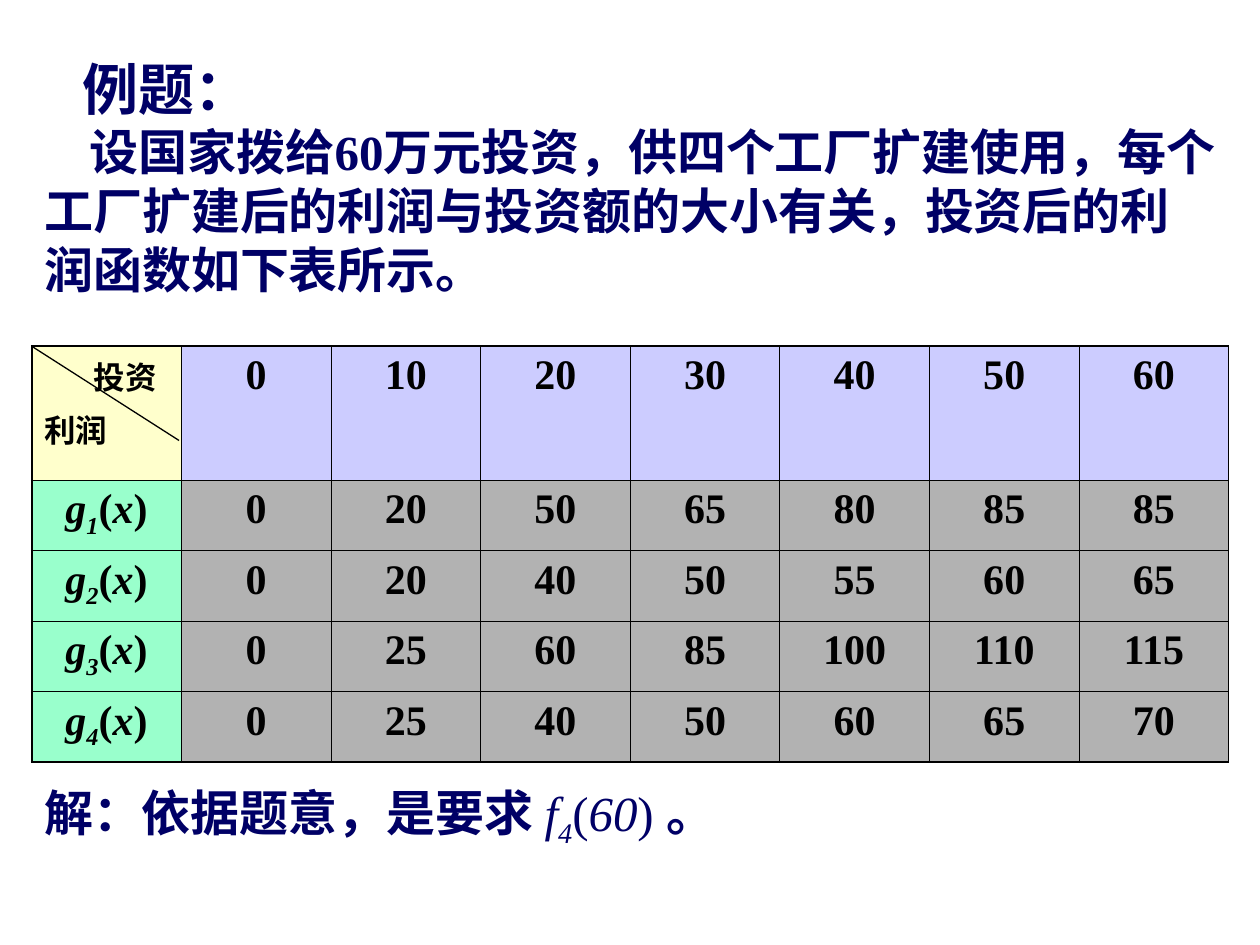
from dataclasses import dataclass

from lxml import etree
from pptx import Presentation
from pptx.dml.color import RGBColor
from pptx.enum.shapes import MSO_CONNECTOR
from pptx.enum.text import MSO_ANCHOR, MSO_AUTO_SIZE, PP_ALIGN
from pptx.oxml.ns import qn
from pptx.util import Cm, Pt

LEFT, CENTER = PP_ALIGN.LEFT, PP_ALIGN.CENTER
TOP = MSO_ANCHOR.TOP
NO_AUTOFIT = MSO_AUTO_SIZE.NONE
STRAIGHT = MSO_CONNECTOR.STRAIGHT
TITLE_ONLY = 5


@dataclass(frozen=True)
class Theme:
    font: str = "Times New Roman"
    navy: str = "000066"
    black: str = "000000"
    corner: str = "FFFFCC"
    investment: str = "CCCCFF"
    factory: str = "99FFCC"
    profit: str = "B2B2B2"
    heading_size: int = 32
    body_size: int = 28
    cell_size: int = 24
    corner_size: int = 18
    outer_border: float = 1.08
    inner_border: float = 0.45
    diagonal: float = 0.75


THEME = Theme()

HEADING = "例题："
PROBLEM = ("设国家拨给60万元投资，供四个工厂扩建使用，每个工厂扩建后的利润与投资额的大小有关，"
           "投资后的利润函数如下表所示。")
INVESTMENTS = [0, 10, 20, 30, 40, 50, 60]
PROFITS = [
    [0, 20, 50, 65, 80, 85, 85],
    [0, 20, 40, 50, 55, 60, 65],
    [0, 25, 60, 85, 100, 110, 115],
    [0, 25, 40, 50, 60, 65, 70],
]


def style(paragraph, size, color, align=LEFT, indent=0, bold=True):
    paragraph.alignment = align
    if indent:
        paragraph._p.get_or_add_pPr().set("indent", str(Cm(indent)))
    font = paragraph.font
    font.name, font.size, font.bold = THEME.font, Pt(size), bold
    font.color.rgb = RGBColor.from_string(color)


def add_formula(paragraph, name, index, argument):
    parts = [(name, True), (index, True), ("(", False), (argument, True), (")", False)]
    runs = []
    for text, italic in parts:
        run = paragraph.add_run()
        run.text, run.font.italic = text, italic
        runs.append(run)
    runs[1].font._element.set("baseline", "-25000")


def set_borders(cell, row, column, last_row, last_column):
    outer_edges = {
        "a:lnL": column == 0,
        "a:lnR": column == last_column,
        "a:lnT": row == 0,
        "a:lnB": row == last_row,
    }
    properties = cell._tc.get_or_add_tcPr()
    for position, (edge, outer) in enumerate(outer_edges.items()):
        width = THEME.outer_border if outer else THEME.inner_border
        border = etree.Element(qn(edge), w=str(Pt(width)))
        fill = etree.SubElement(border, qn("a:solidFill"))
        etree.SubElement(fill, qn("a:srgbClr"), val=THEME.black)
        properties.insert(position, border)


def add_problem(slide, left, top, width, height):
    title = slide.shapes.title
    title.left, title.top, title.width, title.height = map(Cm, (left, top, width, height))
    frame = title.text_frame
    frame.word_wrap, frame.auto_size, frame.vertical_anchor = True, NO_AUTOFIT, TOP
    heading, problem = frame.paragraphs[0], frame.add_paragraph()
    heading.text, problem.text = HEADING, PROBLEM
    style(heading, THEME.heading_size, THEME.navy, indent=0.76)
    style(problem, THEME.body_size, THEME.navy, indent=0.92)


def fill_corner(cell):
    investment, profit = cell.text_frame.paragraphs[0], cell.text_frame.add_paragraph()
    investment.text, profit.text = "投资", "利润"
    profit.space_before = Pt(4.5)
    style(investment, THEME.corner_size, THEME.black, indent=1)
    style(profit, THEME.corner_size, THEME.black)


def cell_color(row, column):
    if row == 0:
        return THEME.investment if column else THEME.corner
    return THEME.profit if column else THEME.factory


def add_profit_table(slide, left, top, width, header_height, row_height):
    values = [INVESTMENTS, *PROFITS]
    last_row, last_column = len(PROFITS), len(INVESTMENTS)
    height = header_height + last_row * row_height
    table = slide.shapes.add_table(last_row + 1, last_column + 1,
                                   Cm(left), Cm(top), Cm(width), Cm(height)).table
    for row, line in enumerate(table.rows):
        line.height = Cm(row_height if row else header_height)
        for column, cell in enumerate(line.cells):
            cell.fill.solid()
            cell.fill.fore_color.rgb = RGBColor.from_string(cell_color(row, column))
            set_borders(cell, row, column, last_row, last_column)
            if row == column == 0:
                fill_corner(cell)
                continue
            paragraph = cell.text_frame.paragraphs[0]
            if column:
                paragraph.text = str(values[row][column - 1])
            else:
                add_formula(paragraph, "g", str(row), "x")
            style(paragraph, THEME.cell_size, THEME.black, CENTER)

    diagonal = slide.shapes.add_connector(STRAIGHT, Cm(left + 2.97), Cm(top + 1.9),
                                          Cm(left), Cm(top))
    diagonal.line.width = Pt(THEME.diagonal)
    diagonal.line.color.rgb = RGBColor.from_string(THEME.black)
    etree.SubElement(diagonal._element.spPr, qn("a:effectLst"))


def add_solution(slide, left, top, width, height):
    frame = slide.shapes.add_textbox(*map(Cm, (left, top, width, height))).text_frame
    frame.word_wrap = True
    solution = frame.paragraphs[0]
    style(solution, THEME.body_size, THEME.navy, bold=False)
    opening = solution.add_run()
    opening.text = "解：依据题意，是要求 "
    add_formula(solution, "f", "4", "60")
    ending = solution.add_run()
    ending.text = " 。"
    opening.font.bold = ending.font.bold = True


def main():
    presentation = Presentation()
    presentation.slide_width, presentation.slide_height = Cm(25.4), Cm(19.05)
    slide = presentation.slides.add_slide(presentation.slide_layouts[TITLE_ONLY])
    left, width = 0.64, 24.13
    add_problem(slide, left, 0.97, width, 5.18)
    add_profit_table(slide, left, 6.98, width, header_height=2.7, row_height=1.42)
    add_solution(slide, left, 15.65, width, 1.6)
    presentation.save("out.pptx")


if __name__ == "__main__":
    main()
